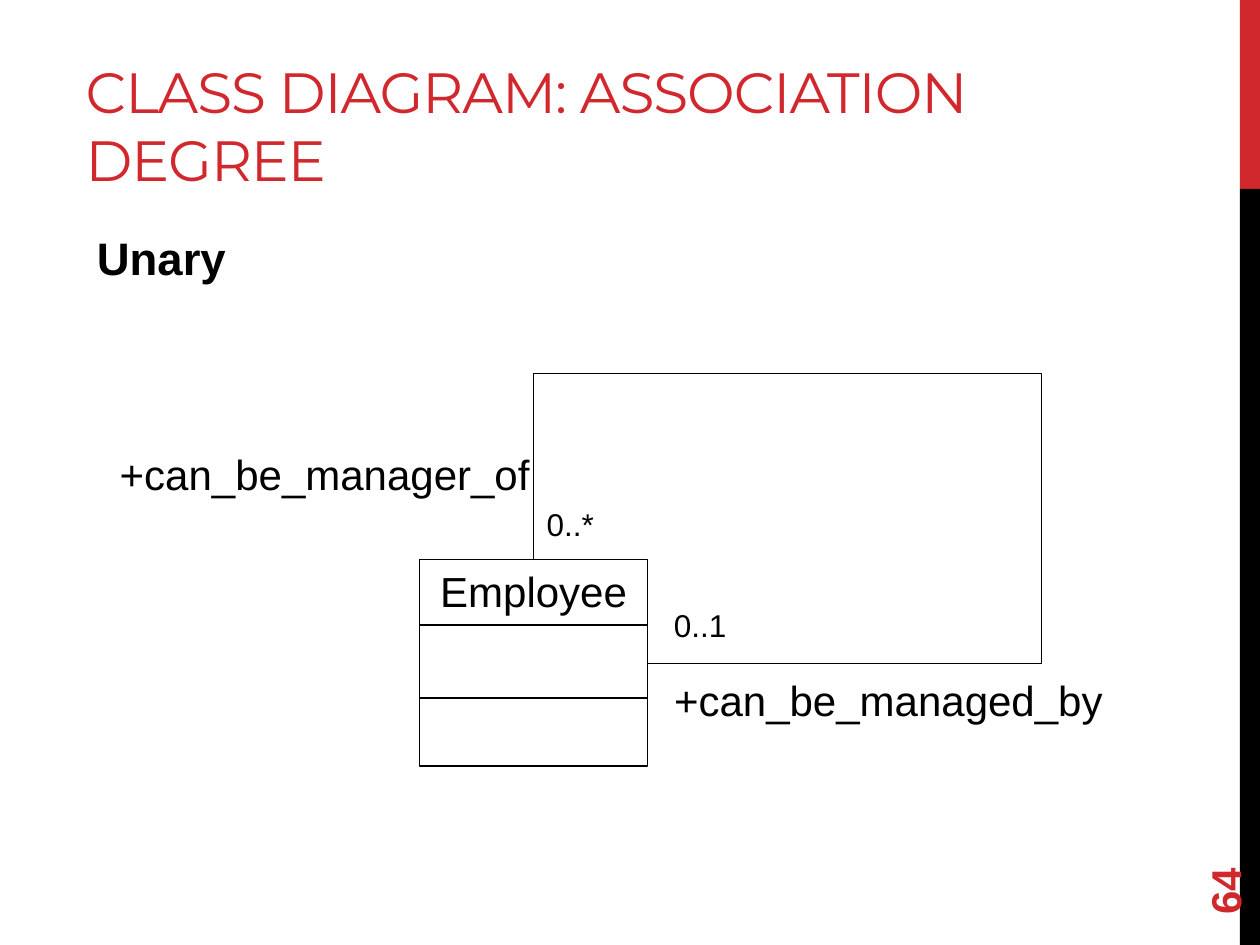
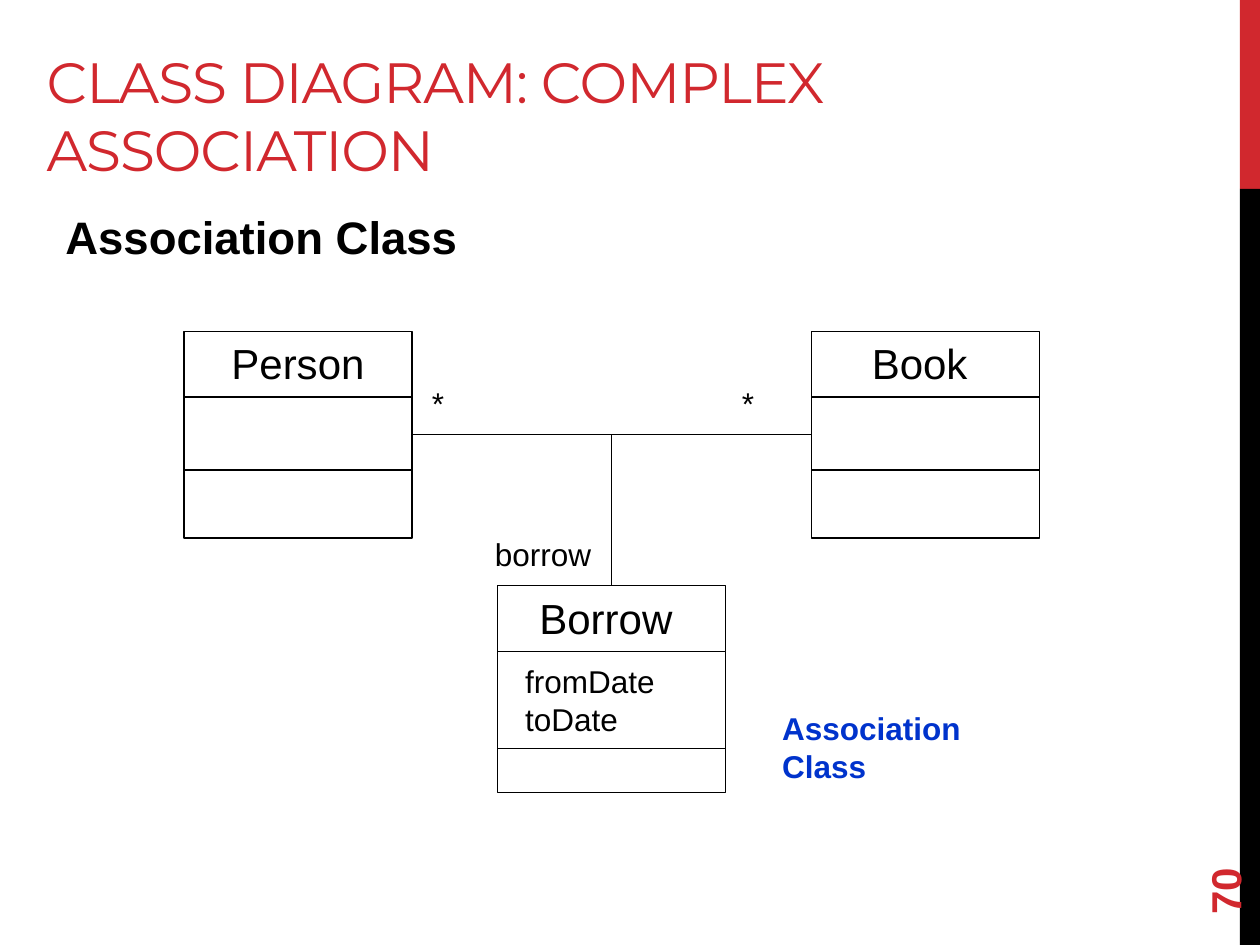
from lxml import etree
from pptx import Presentation
from pptx.dml.color import RGBColor
from pptx.enum.shapes import MSO_CONNECTOR, MSO_SHAPE
from pptx.enum.text import MSO_ANCHOR, MSO_AUTO_SIZE, PP_ALIGN
from pptx.oxml.ns import qn
from pptx.util import Inches, Pt

RECT = MSO_SHAPE.RECTANGLE
STRAIGHT, ELBOW = MSO_CONNECTOR.STRAIGHT, MSO_CONNECTOR.ELBOW
TOP, MIDDLE, BOTTOM = MSO_ANCHOR.TOP, MSO_ANCHOR.MIDDLE, MSO_ANCHOR.BOTTOM
LEFT, CENTER = PP_ALIGN.LEFT, PP_ALIGN.CENTER
NO_FIT, GROW = MSO_AUTO_SIZE.NONE, MSO_AUTO_SIZE.SHAPE_TO_FIT_TEXT

RED, BLACK, WHITE, BLUE = "D1282E", "000000", "FFFFFF", "0033CC"
BODY_FONT, TITLE_FONT = "Arial", "Montserrat"
SIDE_TOP, SIDE_LEFT, SIDE_RIGHT = 0, 1, 3
CLASS_W, CLASS_H, NAME_H = 1.81, 1.64, 0.52


def rgb(color):
    return RGBColor.from_string(color)


class Deck:
    def __init__(self):
        self.prs = Presentation()
        self.prs.slide_width, self.prs.slide_height = Inches(10), Inches(7.5)
        self.s = None

    def set_text(self, sp, text, size, color=BLACK, bold=False, font=BODY_FONT,
                 align=LEFT, anchor=TOP, indent=0):
        tf = sp.text_frame
        tf.text = text
        tf.word_wrap = True
        tf.vertical_anchor = anchor
        for p in tf.paragraphs:
            p.alignment = align
            if indent:
                p._p.get_or_add_pPr().set("marL", str(Inches(indent)))
            for r in p.runs:
                r.font.name, r.font.size, r.font.bold = font, Pt(size), bold
                r.font.color.rgb = rgb(color)
        return tf

    def rect(self, x, y, w, h, fill, line=None):
        sp = self.s.shapes.add_shape(RECT, Inches(x), Inches(y), Inches(w), Inches(h))
        sp.shadow.inherit = False
        sp.fill.solid()
        sp.fill.fore_color.rgb = rgb(fill)
        if line:
            sp.line.color.rgb = rgb(line)
            sp.line.width = Pt(0.75)
        else:
            sp.line.fill.background()
        return sp

    def label(self, text, x, y, w, h=0.4, size=18, **style):
        sp = self.s.shapes.add_textbox(Inches(x), Inches(y), Inches(w), Inches(h))
        self.set_text(sp, text, size, **style)
        return sp

    def role(self, text, x, y, w):
        tf = self.label(text, x, y, w, size=24).text_frame
        tf.margin_left = tf.margin_right = tf.margin_top = tf.margin_bottom = 0
        tf.word_wrap = False
        tf.auto_size = GROW

    def slide(self, title, x, y, w, number):
        self.s = self.prs.slides.add_slide(self.prs.slide_layouts[5])
        # Side band
        self.rect(9.84, 0, 0.16, 1.5, RED)
        self.rect(9.84, 1.5, 0.16, 6, BLACK)
        # Title
        sp = self.s.shapes.title
        sp.left, sp.top, sp.width, sp.height = map(Inches, (x, y, w, 1.25))
        tf = self.set_text(sp, title, 32.4, RED, font=TITLE_FONT, anchor=BOTTOM)
        tf.auto_size = NO_FIT
        tf.paragraphs[0].runs[0].font._element.set("spc", "-60")
        # Slide number
        page = self.label(number, 9, 6.44, 1.44, size=24, color=RED, bold=True,
                          anchor=MIDDLE)
        page.rotation = 270

    def heading(self, text, x, y):
        self.label(text, x, y, 8.85, 0.7, size=26, bold=True)

    def uml_class(self, name, x, y, attributes="", attributes_h=0.58):
        box = self.rect(x, y, CLASS_W, CLASS_H, WHITE, BLACK)
        self.set_text(box, name, 24, align=CENTER)
        part = self.rect(x, y + NAME_H, CLASS_W, attributes_h, WHITE, BLACK)
        if attributes:
            self.set_text(part, attributes, 18, anchor=MIDDLE, indent=0.12)
        return box

    def connector(self, kind, start=(0, 0), end=(0, 0), begin=None, finish=None):
        c = self.s.shapes.add_connector(kind, *map(Inches, start + end))
        if begin:
            c.begin_connect(*begin)
        if finish:
            c.end_connect(*finish)
        c.line.color.rgb = rgb(BLACK)
        c.line.width = Pt(0.25)
        etree.SubElement(c._element.spPr, qn("a:effectLst"))
        return c

    def loop(self, box, adjustments):
        """Lead from the right side of a class around to its top."""
        c = self.connector(ELBOW, begin=(box, SIDE_RIGHT), finish=(box, SIDE_TOP))
        geom = c._element.spPr.find(qn("a:prstGeom"))
        geom.set("prst", "bentConnector4")
        guides = geom.find(qn("a:avLst"))
        for i, value in enumerate(adjustments, 1):
            etree.SubElement(guides, qn("a:gd"), name=f"adj{i}",
                             fmla=f"val {round(value * 100000)}")


def unary_slide(d):
    d.slide("CLASS DIAGRAM: ASSOCIATION DEGREE", 0.58, 0.33, 8.5, "64")
    d.heading("Unary", 0.67, 1.78)
    # Class that is associated with itself
    employee = d.uml_class("Employee", 3.33, 4.44)
    d.loop(employee, (-3.45, 2.8))
    # Roles and multiplicities
    d.role("+can_be_manager_of", 0.95, 3.56, 3.29)
    d.label("0..*", 4.24, 3.96, 0.91)
    d.role("+can_be_managed_by", 5.35, 5.35, 3.44)
    d.label("0..1", 5.25, 4.76, 0.91)


def association_class_slide(d):
    d.slide("CLASS DIAGRAM: COMPLEX ASSOCIATION", 0.27, 0.25, 9.17, "70")
    d.heading("Association Class", 0.42, 1.61)
    # Associated classes
    person = d.uml_class("Person", 1.46, 2.63)
    book = d.uml_class("Book ", 6.44, 2.63)
    d.connector(STRAIGHT, begin=(person, SIDE_RIGHT), finish=(book, SIDE_LEFT))
    for x in (3.33, 5.79):
        d.label("*", x, 3, 0.71)
    # Association class
    borrow = d.uml_class("Borrow ", 3.95, 4.65, "fromDate\ntoDate", 0.77)
    d.connector(STRAIGHT, end=(3.95 + CLASS_W / 2, 2.63 + CLASS_H / 2),
                begin=(borrow, SIDE_TOP))
    d.label("borrow", 3.83, 4.2, 1.18)
    d.label("Association Class", 6.11, 5.58, 2.1, 0.71, color=BLUE, bold=True)


def main():
    d = Deck()
    unary_slide(d)
    association_class_slide(d)
    d.prs.save("out.pptx")


if __name__ == "__main__":
    main()
